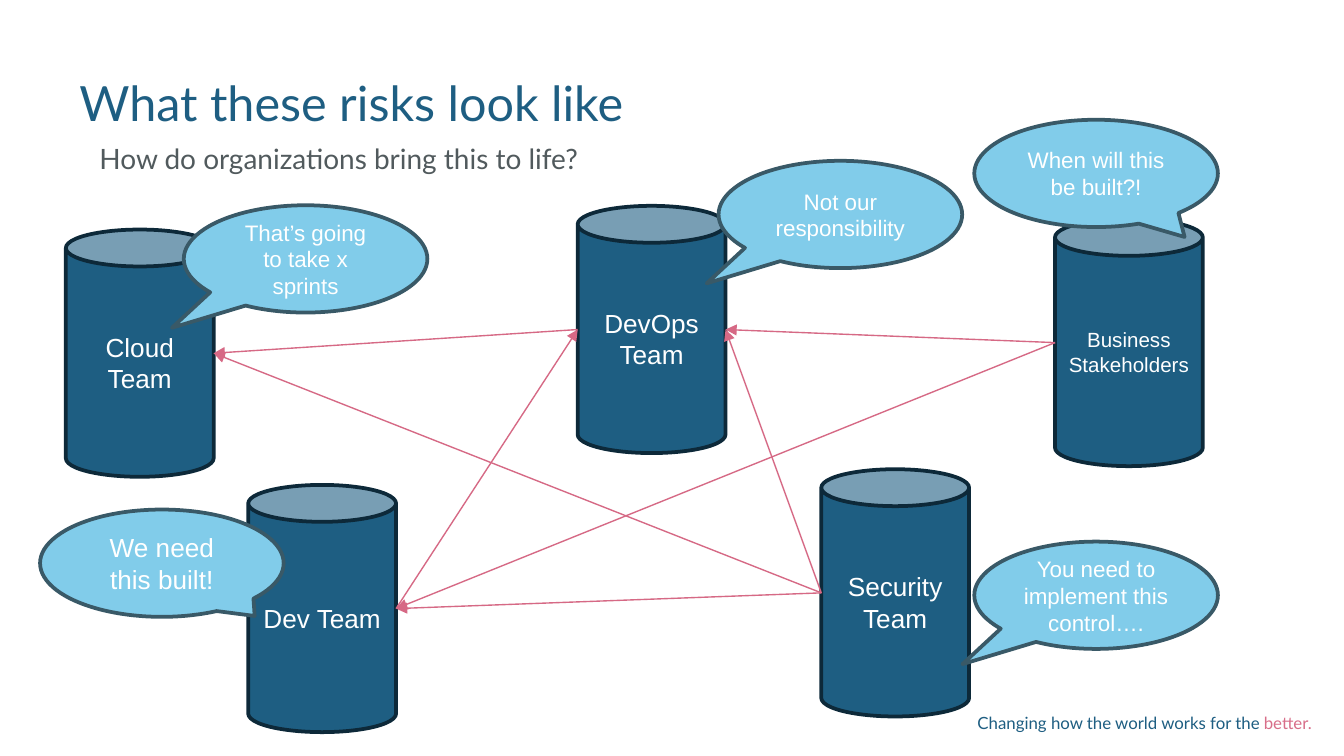
from lxml import etree
from pptx import Presentation
from pptx.dml.color import RGBColor
from pptx.enum.shapes import MSO_CONNECTOR, MSO_SHAPE
from pptx.enum.text import MSO_ANCHOR, MSO_AUTO_SIZE, PP_ALIGN
from pptx.oxml.ns import qn
from pptx.util import Pt

CAN, CALLOUT = MSO_SHAPE.CAN, MSO_SHAPE.OVAL_CALLOUT
STRAIGHT = MSO_CONNECTOR.STRAIGHT
TOP, MIDDLE = MSO_ANCHOR.TOP, MSO_ANCHOR.MIDDLE
LEFT, CENTER, RIGHT = PP_ALIGN.LEFT, PP_ALIGN.CENTER, PP_ALIGN.RIGHT
NO_FIT = MSO_AUTO_SIZE.NONE

COLORS = {
    "blue": "1E5E82",
    "navy": "0D2939",
    "sky": "81CCEA",
    "slate": "395967",
    "gray": "515A5D",
    "arrow": "D66985",
    "pink": "D86E89",
    "white": "FFFFFF",
}
TEAM_SIZE = (79.2, 132.5)
BUBBLE_SIZE = (130.5, 57.5)
LOWER_LEFT = (-0.549, 0.642)

# name: (text, left, top, font size)
TEAMS = {
    "cloud": ("Cloud Team", 35.3, 123, 14),
    "devops": ("DevOps Team", 309.5, 110.3, 14),
    "dev": ("Dev Team", 133, 259.8, 14),
    "security": ("Security Team", 440, 251.4, 14),
    "business": ("Business Stakeholders", 565.2, 117.3, 11),
}
# (from team, side, to team, side)
ARROWS = [
    ("dev", "right", "devops", "left"),
    ("devops", "left", "cloud", "right"),
    ("security", "left", "dev", "right"),
    ("security", "left", "devops", "right"),
    ("security", "left", "cloud", "right"),
    ("business", "left", "dev", "right"),
    ("business", "left", "devops", "right"),
]
# (text, left, top, font size, pointer tip)
BUBBLES = [
    ("We need this built!", 21.5, 273, 14, (0.381, 0.492)),
    ("Not our responsibility", 385, 86.2, 12, LOWER_LEFT),
    ("That’s going to take x sprints", 98.5, 110, 12, LOWER_LEFT),
    ("You need to implement this control….", 522, 290.2, 12, LOWER_LEFT),
    ("When will this be built?!", 522, 64.2, 12, (0.363, 0.592)),
]


def rgb(name):
    return RGBColor.from_string(COLORS[name])


def set_font(font, face, size, color):
    font.name, font.size, font.bold = face, Pt(size), False
    font.color.rgb = rgb(color)


def fill_heading(sp, box, text, size, color):
    """Move a placeholder to box and give it one left-aligned line."""
    sp.left, sp.top, sp.width, sp.height = map(Pt, box)
    tf = sp.text_frame
    tf.text = text
    tf.word_wrap, tf.auto_size, tf.vertical_anchor = True, NO_FIT, TOP
    tf.margin_left = tf.margin_right = tf.margin_top = tf.margin_bottom = Pt(7.2)
    p = tf.paragraphs[0]
    p.alignment, p.line_spacing = LEFT, 0.9
    p.space_before = Pt(0)
    set_font(p.font, "Lato", size, color)
    return p


def add_headings(slide, left, top, width):
    fill_heading(slide.shapes.title, (left, top, width, 35.3),
                 "What these risks look like", 26, "blue")
    p = fill_heading(slide.placeholders[1], (left, top + 35.3, width, 26),
                     "How do organizations bring this to life?", 15, "gray")
    pPr = p._p.get_or_add_pPr()
    pPr.set("marL", str(Pt(36)))
    pPr.set("indent", str(Pt(-25.2)))


def add_labelled_shape(slide, kind, box, text, size, fill, line):
    sp = slide.shapes.add_shape(kind, *map(Pt, box))
    sp.shadow.inherit = False
    sp.fill.solid()
    sp.fill.fore_color.rgb = rgb(fill)
    sp.line.color.rgb = rgb(line)
    sp.line.width = Pt(2)
    tf = sp.text_frame
    tf.text = text
    tf.word_wrap, tf.vertical_anchor = True, MIDDLE
    p = tf.paragraphs[0]
    p.alignment = CENTER
    set_font(p.font, "Arial", size, "white")
    return sp


def side_point(sp, side):
    """Middle of the left or right side of a shape."""
    x = sp.left if side == "left" else sp.left + sp.width
    return x, sp.top + sp.height // 2


def add_arrow(slide, start, end):
    cxn = slide.shapes.add_connector(STRAIGHT, *start, *end)
    cxn.line.color.rgb = rgb("arrow")
    cxn.line.width = Pt(0.75)
    etree.SubElement(cxn.line._get_or_add_ln(), qn("a:tailEnd"), type="triangle")
    etree.SubElement(cxn._element.spPr, qn("a:effectLst"))


def add_team_map(slide):
    teams = {}
    for name, (text, left, top, size) in TEAMS.items():
        teams[name] = add_labelled_shape(
            slide, CAN, (left, top, *TEAM_SIZE), text, size, "blue", "navy")
    for source, source_side, target, target_side in ARROWS:
        add_arrow(slide, side_point(teams[source], source_side),
                  side_point(teams[target], target_side))
    for text, left, top, size, tip in BUBBLES:
        sp = add_labelled_shape(
            slide, CALLOUT, (left, top, *BUBBLE_SIZE), text, size, "sky", "slate")
        sp.adjustments[0], sp.adjustments[1] = tip


def add_tagline(slide, box):
    tf = slide.shapes.add_textbox(*map(Pt, box)).text_frame
    tf.word_wrap = True
    tf.margin_left = tf.margin_right = tf.margin_top = tf.margin_bottom = 0
    p = tf.paragraphs[0]
    p.alignment = RIGHT
    for text, color in (("Changing how the world works for the ", "blue"),
                        ("better.", "pink")):
        r = p.add_run()
        r.text = text
        set_font(r.font, "Lato", 9, color)


def main():
    prs = Presentation()
    prs.slide_width, prs.slide_height = Pt(720), Pt(405)
    slide = prs.slides.add_slide(prs.slide_layouts[0])
    add_tagline(slide, (511.7, 381.6, 191, 12.2))
    add_headings(slide, 35.3, 35.3, 649.4)
    add_team_map(slide)
    prs.save("out.pptx")


if __name__ == "__main__":
    main()
